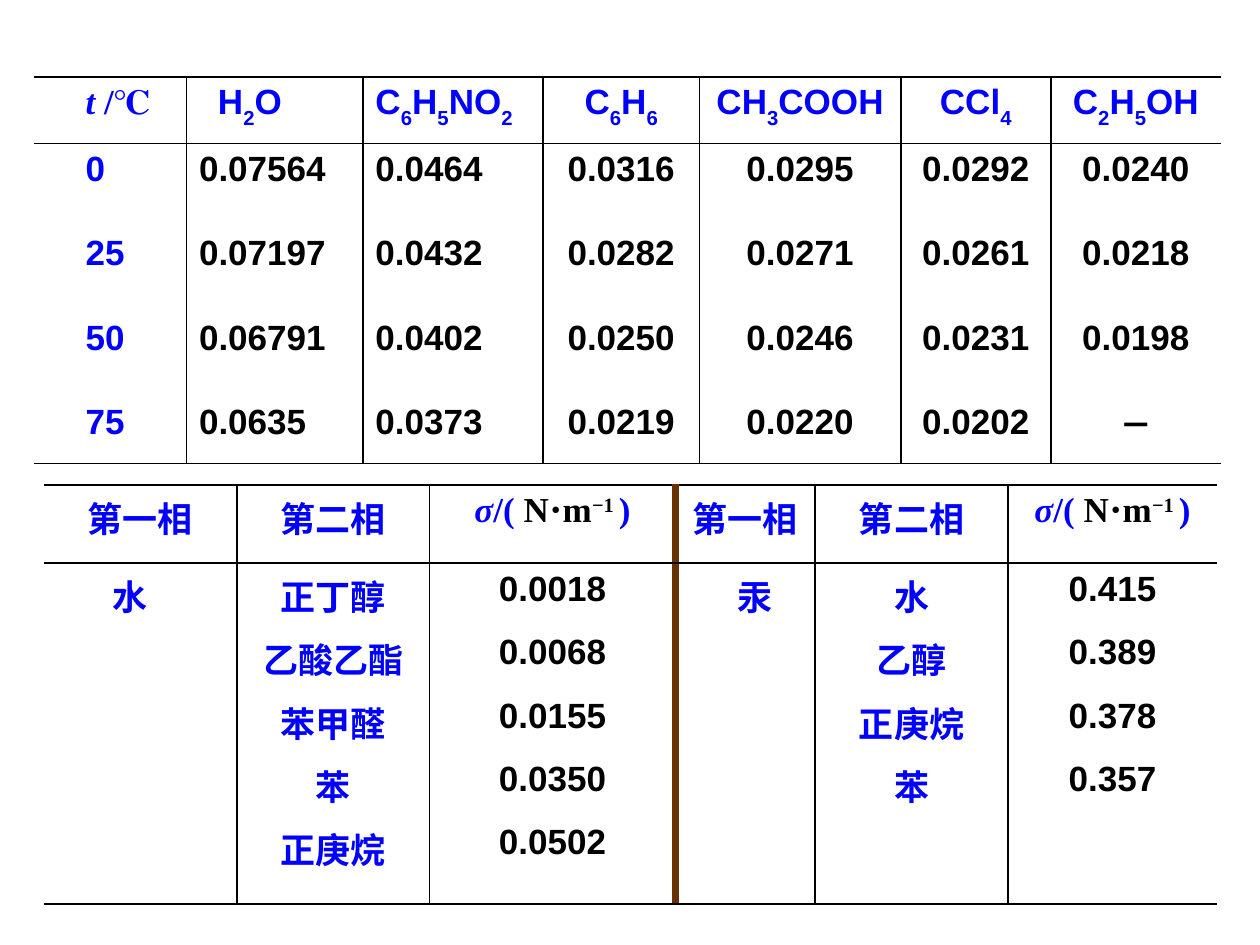
import dataclasses
import itertools

import lxml.etree
import pptx
import pptx.dml.color
import pptx.enum.text
import pptx.oxml.ns
import pptx.util

Inches = pptx.util.Inches
ALIGN = pptx.enum.text.PP_ALIGN


@dataclasses.dataclass(frozen=True)
class Theme:
    label: str = "0000FF"
    value: str = "000000"
    rule: str = "000000"
    divider: str = "663300"
    size: float = 20
    rule_width: float = 1
    divider_width: float = 4.5
    sans: str = "Arial"
    serif: str = "Times New Roman"
    dash: str = "Karla"


THEME = Theme()


@dataclasses.dataclass(frozen=True)
class Piece:
    """A stretch of text in one style; shift is the baseline offset in percent."""
    text: str
    color: str = THEME.label
    font: str = THEME.sans
    italic: bool = False
    shift: int = 0


@dataclasses.dataclass(frozen=True)
class Entry:
    pieces: list
    align: ALIGN = ALIGN.CENTER
    indent: float = 0


TENSION_HEADER = [
    Piece("σ", font=THEME.serif, italic=True),
    Piece("/( ", font=THEME.serif),
    Piece("N⋅m", THEME.value, THEME.serif),
    Piece("−1 ", THEME.value, THEME.serif, shift=30),
    Piece(")", font=THEME.serif),
]
TEMPERATURE_HEADER = [
    Piece("t ", font=THEME.serif, italic=True),
    Piece("/℃", font=THEME.serif),
]
LIQUIDS = ["H2O", "C6H5NO2", "C6H6", "CH3COOH", "CCl4", "C2H5OH"]
TENSION_BY_TEMPERATURE = {
    "0": ["0.07564", "0.0464", "0.0316", "0.0295", "0.0292", "0.0240"],
    "25": ["0.07197", "0.0432", "0.0282", "0.0271", "0.0261", "0.0218"],
    "50": ["0.06791", "0.0402", "0.0250", "0.0246", "0.0231", "0.0198"],
    "75": ["0.0635", "0.0373", "0.0219", "0.0220", "0.0202", "—"],
}
WATER_PAIRS = [("正丁醇", "0.0018"), ("乙酸乙酯", "0.0068"), ("苯甲醛", "0.0155"),
               ("苯", "0.0350"), ("正庚烷", "0.0502")]
MERCURY_PAIRS = [("水", "0.415"), ("乙醇", "0.389"), ("正庚烷", "0.378"),
                 ("苯", "0.357")]


def formula(text):
    """Split a chemical formula so that its digits become subscripts."""
    return [Piece("".join(chars), shift=-30 if is_digit else 0)
            for is_digit, chars in itertools.groupby(text, str.isdigit)]


def value(text):
    font = THEME.dash if text == "—" else THEME.sans
    return [Piece(text, THEME.value, font)]


def write_entry(cell, entry):
    paragraph = cell.text_frame.paragraphs[0]
    paragraph.alignment = entry.align
    if entry.indent:
        properties = paragraph._p.get_or_add_pPr()
        properties.set("marL", str(Inches(entry.indent)))
        properties.set("indent", "0")
    for piece in entry.pieces:
        run = paragraph.add_run()
        run.text = piece.text
        run.font.size = pptx.util.Pt(THEME.size)
        run.font.bold = True
        run.font.italic = piece.italic
        run.font.name = piece.font
        run.font.color.rgb = pptx.dml.color.RGBColor.from_string(piece.color)
        if piece.shift:
            run._r.get_or_add_rPr().set("baseline", str(piece.shift * 1000))


def draw_border(cell, side, style):
    """Add one cell border; style is (colour, width), or None for no line."""
    qn = pptx.oxml.ns.qn
    line = lxml.etree.SubElement(cell._tc.get_or_add_tcPr(), qn(f"a:ln{side}"))
    if style is None:
        lxml.etree.SubElement(line, qn("a:noFill"))
        return
    color, width = style
    line.set("w", str(pptx.util.Pt(width)))
    fill = lxml.etree.SubElement(line, qn("a:solidFill"))
    lxml.etree.SubElement(fill, qn("a:srgbClr")).set("val", color)


def add_ruled_table(slide, left, top, columns, rows, entries, divider=None):
    """Rule the header, the foot and the column gaps; divider is a heavy gap."""
    table = slide.shapes.add_table(
        len(rows), len(columns), Inches(left), Inches(top),
        Inches(sum(columns)), Inches(sum(rows))).table
    table.first_row = table.horz_banding = False
    for column, width in zip(table.columns, columns):
        column.width = Inches(width)
    for row, height in zip(table.rows, rows):
        row.height = Inches(height)

    rule = (THEME.rule, THEME.rule_width)
    heavy = (THEME.divider, THEME.divider_width)
    gaps = [None, *[rule] * (len(columns) - 1), None]
    if divider is not None:
        gaps[divider] = heavy
    levels = [rule, rule, *[None] * (len(rows) - 2), rule]

    for r, c in itertools.product(range(len(rows)), range(len(columns))):
        cell = table.cell(r, c)
        borders = {"L": gaps[c], "R": gaps[c + 1],
                   "T": levels[r], "B": levels[r + 1]}
        for side, style in borders.items():
            draw_border(cell, side, style)
        cell.fill.background()
        if entries[r][c]:
            write_entry(cell, entries[r][c])


def temperature_entries():
    label_indent, water_indent, left_columns = 0.31, 0.15, 2

    def align(column):
        return ALIGN.LEFT if column < left_columns else ALIGN.CENTER

    header = [Entry(TEMPERATURE_HEADER, ALIGN.LEFT, label_indent)]
    header += [Entry(formula(liquid), align(i), 0 if i else water_indent)
               for i, liquid in enumerate(LIQUIDS)]
    body = [[Entry([Piece(temperature)], ALIGN.LEFT, label_indent)]
            + [Entry(value(v), align(i)) for i, v in enumerate(tensions)]
            for temperature, tensions in TENSION_BY_TEMPERATURE.items()]
    return [header, *body]


def phase_rows(first_phase, indent, pairs):
    """Three columns: first phase (top row only), second phase, tension."""
    header = [Entry([Piece("第一相")]), Entry([Piece("第二相")]),
              Entry(TENSION_HEADER)]
    body = [[None, Entry([Piece(second)]), Entry(value(tension))]
            for second, tension in pairs]
    body[0][0] = Entry([Piece(first_phase)], ALIGN.LEFT, indent)
    return [header, *body]


def interface_entries():
    water = phase_rows("水", 0.44, WATER_PAIRS)
    mercury = phase_rows("汞", 0.39, MERCURY_PAIRS)
    return [left + right for left, right in
            itertools.zip_longest(water, mercury, fillvalue=[None] * 3)]


def main():
    presentation = pptx.Presentation()
    presentation.slide_width = Inches(10)
    presentation.slide_height = Inches(7.5)
    slide = presentation.slides.add_slide(presentation.slide_layouts[6])
    add_ruled_table(slide, 0.27, 0.61,
                    [1.21, 1.4, 1.43, 1.24, 1.6, 1.19, 1.35],
                    [0.53, *[0.67] * 3, 0.53], temperature_entries())
    add_ruled_table(slide, 0.35, 3.85,
                    [1.53, 1.53, 1.95, 1.11, 1.53, 1.66],
                    [0.62, *[0.47] * 4, 0.69], interface_entries(), divider=3)
    presentation.save("out.pptx")


if __name__ == "__main__":
    main()
